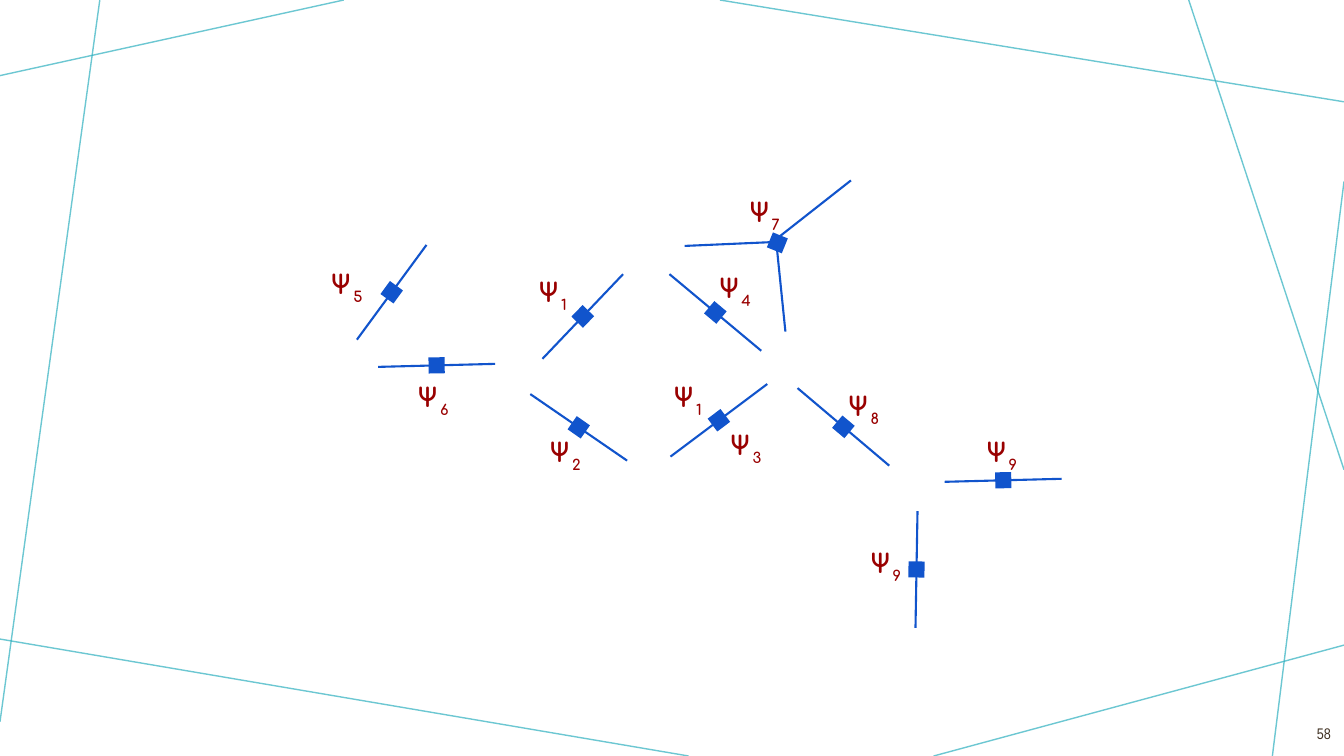
import math

import pptx
import pptx.dml.color
import pptx.enum.shapes
import pptx.enum.text
import pptx.oxml
import pptx.oxml.ns
import pptx.util

PX = 9144  # EMU in one px, 100 px to the inch
RGB = pptx.dml.color.RGBColor
TEAL = RGB(0x2F, 0xB0, 0xC0)
BLUE = RGB(0x11, 0x54, 0xCC)
RED = RGB(0x99, 0x00, 0x00)
BROWN = RGB(0x41, 0x32, 0x24)

SIDE = 16  # factor square

# Frame lines: x1, y1, x2, y2
FRAME = [
    (341, 0, 0, 75), (99, 0, 0, 716), (683, 750, 0, 634), (1333, 640, 926, 750),
    (1333, 180, 1262, 750), (1333, 466, 1179, 0), (1333, 101, 714, 0),
]
# Edges with a factor square at the middle: x1, y1, x2, y2
EDGES = [
    (526, 391, 622, 457), (538, 356, 618, 272), (755, 348, 664, 272),
    (665, 453, 761, 381), (882, 462, 791, 385), (375, 364, 491, 361),
    (354, 337, 423, 243), (937, 478, 1053, 475), (910, 507, 908, 623),
]
# The three-way factor
HUB = (771, 241)
HUB_ANGLE = 22
ARMS = [(770, 241, 779, 329), (770, 240, 679, 244), (844, 179, 774, 234)]
# Factor labels: index, left, top
LABELS = [
    ("1", 529, 270), ("2", 540, 429), ("3", 719, 422), ("4", 708, 266),
    ("5", 323, 262), ("6", 409, 374), ("7", 738, 191), ("8", 836, 383),
    ("1", 663, 374), ("9", 973, 429), ("9", 858, 539),
]


def px(n):
    return pptx.util.Emu(round(n * PX))


def add_line(slide, ends, color, width, alpha=None):
    line = slide.shapes.add_connector(
        pptx.enum.shapes.MSO_CONNECTOR.STRAIGHT, *[px(n) for n in ends])
    line.line.color.rgb = color
    line.line.width = pptx.util.Pt(width)
    sp_pr = line._element.spPr
    if alpha:
        clr = sp_pr.find(".//" + pptx.oxml.ns.qn("a:srgbClr"))
        pptx.oxml.ns.qn("a:alpha")
        clr.append(pptx.oxml.parse_xml(
            f'<a:alpha {pptx.oxml.ns.nsdecls("a")} val="{alpha * 1000}"/>'))
    sp_pr.append(pptx.oxml.parse_xml(f'<a:effectLst {pptx.oxml.ns.nsdecls("a")}/>'))


def add_square(slide, x, y, angle):
    sp = slide.shapes.add_shape(
        pptx.enum.shapes.MSO_SHAPE.RECTANGLE,
        px(x - SIDE / 2), px(y - SIDE / 2), px(SIDE), px(SIDE))
    sp.rotation = angle
    sp.fill.solid()
    sp.fill.fore_color.rgb = BLUE
    sp.line.fill.background()
    sp.shadow.inherit = False


def add_edge(slide, x1, y1, x2, y2):
    add_line(slide, (x1, y1, x2, y2), BLUE, 1.5)
    angle = round(math.degrees(math.atan2(y2 - y1, x2 - x1))) % 90
    add_square(slide, (x1 + x2) / 2, (y1 + y2) / 2, angle)


def add_text_box(slide, left, top, width, height, inset_left=0, inset_top=0):
    tf = slide.shapes.add_textbox(px(left), px(top), px(width), px(height)).text_frame
    tf.word_wrap = True
    tf.margin_left, tf.margin_top = px(inset_left), px(inset_top)
    tf.margin_right = tf.margin_bottom = 0
    return tf


def add_run(p, text, size, font, color, bold=False):
    r = p.add_run()
    r.text = text
    r.font.size = pptx.util.Pt(size)
    r.font.name = font
    r.font.bold = bold
    r.font.color.rgb = color
    return r


def add_label(slide, index, left, top):
    p = add_text_box(slide, left, top, 46, 33, 6, 4).paragraphs[0]
    psi = add_run(p, "Ψ", 18.7, "Comfortaa", RED, True)
    psi.font._element.set("spc", "230")
    sub = add_run(p, index, 18, "Comfortaa", RED, True)
    sub.font._element.set("spc", "340")
    sub.font._element.set("baseline", "-31000")


def add_page_number(slide, number):
    tf = add_text_box(slide, 1269, 700, 51, 40)
    tf.vertical_anchor = pptx.enum.text.MSO_ANCHOR.MIDDLE
    p = tf.paragraphs[0]
    p.alignment = pptx.enum.text.PP_ALIGN.RIGHT
    p.line_spacing = pptx.util.Pt(24.4)
    add_run(p, number, 11, "Arial Narrow", BROWN)


def main():
    prs = pptx.Presentation()
    prs.slide_width, prs.slide_height = pptx.util.Inches(13.33), pptx.util.Inches(7.5)
    slide = prs.slides.add_slide(prs.slide_layouts[6])

    # Decorative frame
    for ends in FRAME:
        add_line(slide, ends, TEAL, 1, alpha=70)

    # Factor graph
    for ends in EDGES:
        add_edge(slide, *ends)
    for ends in ARMS:
        add_line(slide, ends, BLUE, 1.5)
    add_square(slide, *HUB, HUB_ANGLE)

    # Labels and page number
    for label in LABELS:
        add_label(slide, *label)
    add_page_number(slide, "58")

    prs.save("out.pptx")


if __name__ == "__main__":
    main()
